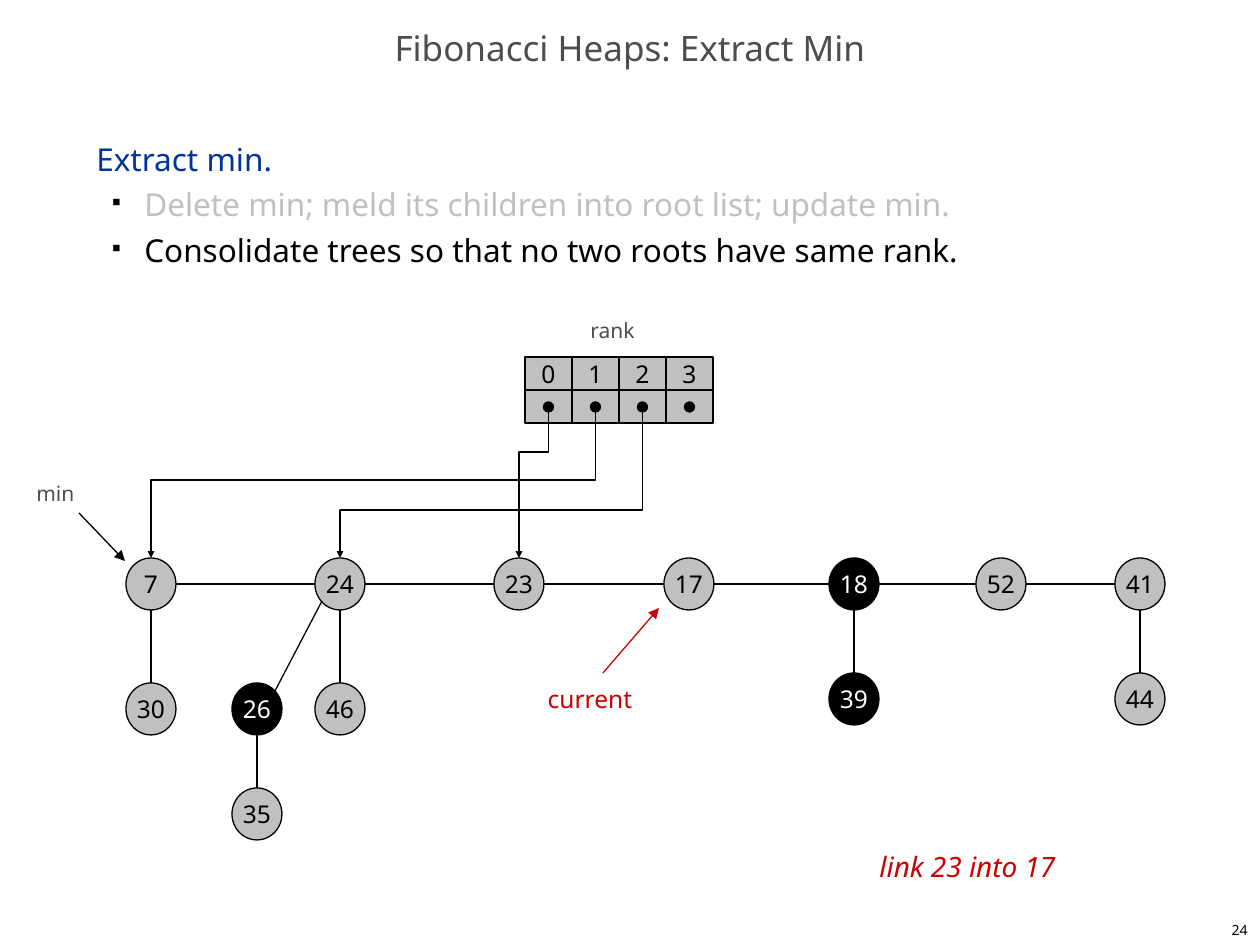
from lxml import etree
from pptx import Presentation
from pptx import util as u
from pptx.dml.color import RGBColor
from pptx.enum import shapes, text
from pptx.oxml import ns

# ---- Content ----
TITLE = "Fibonacci Heaps: Extract Min"
PAGE_NUMBER = "24"
# text, colour, is bullet
BODY = [
    ("Extract min.", "heading", False),
    ("Delete min; meld its children into root list; update min.", "faded", True),
    ("Consolidate trees so that no two roots have same rank.", "ink", True),
]
# key: left, top; the keys are shown in the nodes
ROOT_TOP = 558
NODES = {
    7: (126, ROOT_TOP), 24: (315, ROOT_TOP), 23: (494, ROOT_TOP),
    17: (664, ROOT_TOP), 18: (829, ROOT_TOP), 52: (976, ROOT_TOP),
    41: (1115, ROOT_TOP), 30: (126, 683), 26: (232, 683), 46: (315, 683),
    35: (232, 788), 39: (829, 673), 44: (1115, 673),
}
MARKED = {18, 26, 39}
ROOTS = [7, 24, 23, 17, 18, 52, 41]
CHILDREN = [(7, 30), (24, 46), (26, 35), (18, 39), (41, 44)]  # parent above child
SIDE_CHILD = (322, 601, 275, 691)  # 24 to 26
RANKS = ["0", "1", "2", "3"]
RANK_POINTERS = [(1, 7, 480), (2, 24, 510), (0, 23, 452)]  # rank, root, bend height
# text, box, size, colour, italic
LABELS = [
    ("min", (24, 474, 63, 38), "label", "muted", False),
    ("rank", (578, 311, 76, 38), "label", "muted", False),
    ("link 23 into 17", (867, 843, 277, 47), "action", "accent", True),
]
CURRENT_BOX = (527, 673, 126, 52)
ARROWS = [((79, 513, 125, 561), "ink"), ((603, 673, 659, 608), "accent")]

# ---- Theme and measures ----
THEME = {
    "font": "Noto Sans",
    "colour": {
        "ink": "000000", "muted": "4D4D4D", "heading": "003399", "faded": "C0C0C0",
        "accent": "CC0000", "node": "C0C0C0", "marked": "010000", "light": "FFFFFF",
    },
    "size": {"title": 20, "body": 18, "action": 16, "node": 14, "label": 12, "page": 8},
    "line": 0.75,
}
NODE_W, NODE_H = 50, 52
CELL_W, CELL_H, TABLE_LEFT, TABLE_TOP = 47, 33, 525, 357
DOT = 10
DOT_TOP = 402

prs = Presentation()
prs.slide_width, prs.slide_height = u.Inches(10), u.Inches(7.5)
slide = prs.slides.add_slide(prs.slide_layouts[6])


def px(*lengths):
    return [round(n * 914400 / 126) for n in lengths]


def colour(name):
    return RGBColor.from_string(THEME["colour"][name])


def style(paragraph, size, ink, align=text.PP_ALIGN.LEFT, italic=False):
    paragraph.alignment = align
    font = paragraph.font
    font.name = THEME["font"]
    font.size = u.Pt(THEME["size"][size])
    font.color.rgb = colour(ink)
    font.italic = italic


def add_text(words, box, size, ink, align=text.PP_ALIGN.LEFT, italic=False,
             anchor=text.MSO_ANCHOR.TOP, wrap=True):
    frame = slide.shapes.add_textbox(*px(*box)).text_frame
    frame.word_wrap = wrap
    frame.vertical_anchor = anchor
    frame.text = words
    style(frame.paragraphs[0], size, ink, align, italic)
    return frame


def add_figure(kind, box, fill, words="", ink="ink"):
    figure = slide.shapes.add_shape(kind, *px(*box))
    figure.shadow.inherit = False
    figure.fill.solid()
    figure.fill.fore_color.rgb = colour(fill)
    figure.line.color.rgb = colour("ink")
    figure.line.width = u.Pt(THEME["line"])
    if words:
        frame = figure.text_frame
        frame.word_wrap = False
        frame.vertical_anchor = text.MSO_ANCHOR.MIDDLE
        frame.text = words
        style(frame.paragraphs[0], "node", ink, text.PP_ALIGN.CENTER)
    return figure


def add_line(ends, ink="ink", head=None, kind=shapes.MSO_CONNECTOR.STRAIGHT):
    line = slide.shapes.add_connector(kind, *px(*ends))
    line.line.color.rgb = colour(ink)
    line.line.width = u.Pt(THEME["line"])
    if head:
        etree.SubElement(line.line._get_or_add_ln(), ns.qn("a:tailEnd"),
                         type="triangle", w=head, len=head)
    etree.SubElement(line._element.spPr, ns.qn("a:effectLst"))
    return line


def add_bullet(paragraph):
    props = paragraph._p.get_or_add_pPr()
    indent, hang = px(48, -32)
    props.set("marL", str(indent))
    props.set("indent", str(hang))
    bullet_colour = etree.SubElement(props, ns.qn("a:buClr"))
    etree.SubElement(bullet_colour, ns.qn("a:srgbClr"), val=THEME["colour"]["ink"])
    etree.SubElement(props, ns.qn("a:buSzPct"), val="35000")
    etree.SubElement(props, ns.qn("a:buChar"), char="■")


def add_down_elbow(x1, y1, x2, y2, bend):
    """Elbow that leaves and arrives vertically: a quarter-turned frame."""
    run, drop = x1 - x2, y2 - y1
    mid_x, mid_y = (x1 + x2) / 2, (y1 + y2) / 2
    elbow = add_line((mid_x - drop / 2, mid_y - run / 2, mid_x + drop / 2, mid_y + run / 2),
                     head="sm", kind=shapes.MSO_CONNECTOR.ELBOW)
    props = elbow._element.spPr
    props.find(ns.qn("a:xfrm")).set("rot", "5400000")
    guides = props.find(ns.qn("a:prstGeom")).find(ns.qn("a:avLst"))
    share = round((bend - y1) / drop * 100000)
    etree.SubElement(guides, ns.qn("a:gd"), name="adj1", fmla=f"val {share}")


# ---- Title, page number and body ----
add_text(PAGE_NUMBER, (998, 914, 262, 31), "page", "ink", text.PP_ALIGN.RIGHT,
         anchor=text.MSO_ANCHOR.MIDDLE)
title = add_text(TITLE, (0, 21, 1260, 63), "title", "muted", text.PP_ALIGN.CENTER,
                 anchor=text.MSO_ANCHOR.MIDDLE)
title.paragraphs[0].line_spacing = 0.7

body = add_text("\n".join(line for line, _, _ in BODY), (84, 126, 1081, 746), "body", "heading")
for paragraph, (_, ink, is_bullet) in zip(body.paragraphs, BODY):
    if is_bullet:
        paragraph.level = 1
        add_bullet(paragraph)
    paragraph.line_spacing = u.Pt(26)
    style(paragraph, "body", ink)

# ---- Heap nodes ----
circles = {}
for key, (left, top) in NODES.items():
    fill, ink = ("marked", "light") if key in MARKED else ("node", "ink")
    circles[key] = add_figure(shapes.MSO_SHAPE.OVAL, (left, top, NODE_W, NODE_H),
                              fill, str(key), ink)

# ---- Root list and tree edges ----
for left_root, right_root in zip(ROOTS, ROOTS[1:]):
    y = ROOT_TOP + NODE_H / 2
    add_line((NODES[left_root][0] + NODE_W, y, NODES[right_root][0], y))
for parent, child in CHILDREN:
    x = NODES[child][0] + NODE_W / 2
    edge = add_line((x, NODES[child][1], x, NODES[parent][1] + NODE_H))
    edge.begin_connect(circles[child], 0)
add_line(SIDE_CHILD)

# ---- Rank array and its pointers ----
for column, rank in enumerate(RANKS):
    left = TABLE_LEFT + column * CELL_W
    for row, words in enumerate((rank, "")):
        add_figure(shapes.MSO_SHAPE.RECTANGLE,
                   (left, TABLE_TOP + row * CELL_H, CELL_W, CELL_H), "node", words)
    add_figure(shapes.MSO_SHAPE.OVAL, (left + (CELL_W - DOT) / 2, DOT_TOP, DOT, DOT), "marked")
for rank, root, bend in RANK_POINTERS:
    add_down_elbow(TABLE_LEFT + (rank + 0.5) * CELL_W, DOT_TOP + DOT,
                   NODES[root][0] + NODE_W / 2, ROOT_TOP, bend)

# ---- Labels and their arrows ----
for words, box, size, ink, italic in LABELS:
    add_text(words, box, size, ink, italic=italic, wrap=italic)
add_text("current", CURRENT_BOX, "node", "accent", text.PP_ALIGN.CENTER,
         anchor=text.MSO_ANCHOR.MIDDLE)
for ends, ink in ARROWS:
    add_line(ends, ink, head="med")

prs.save("out.pptx")
